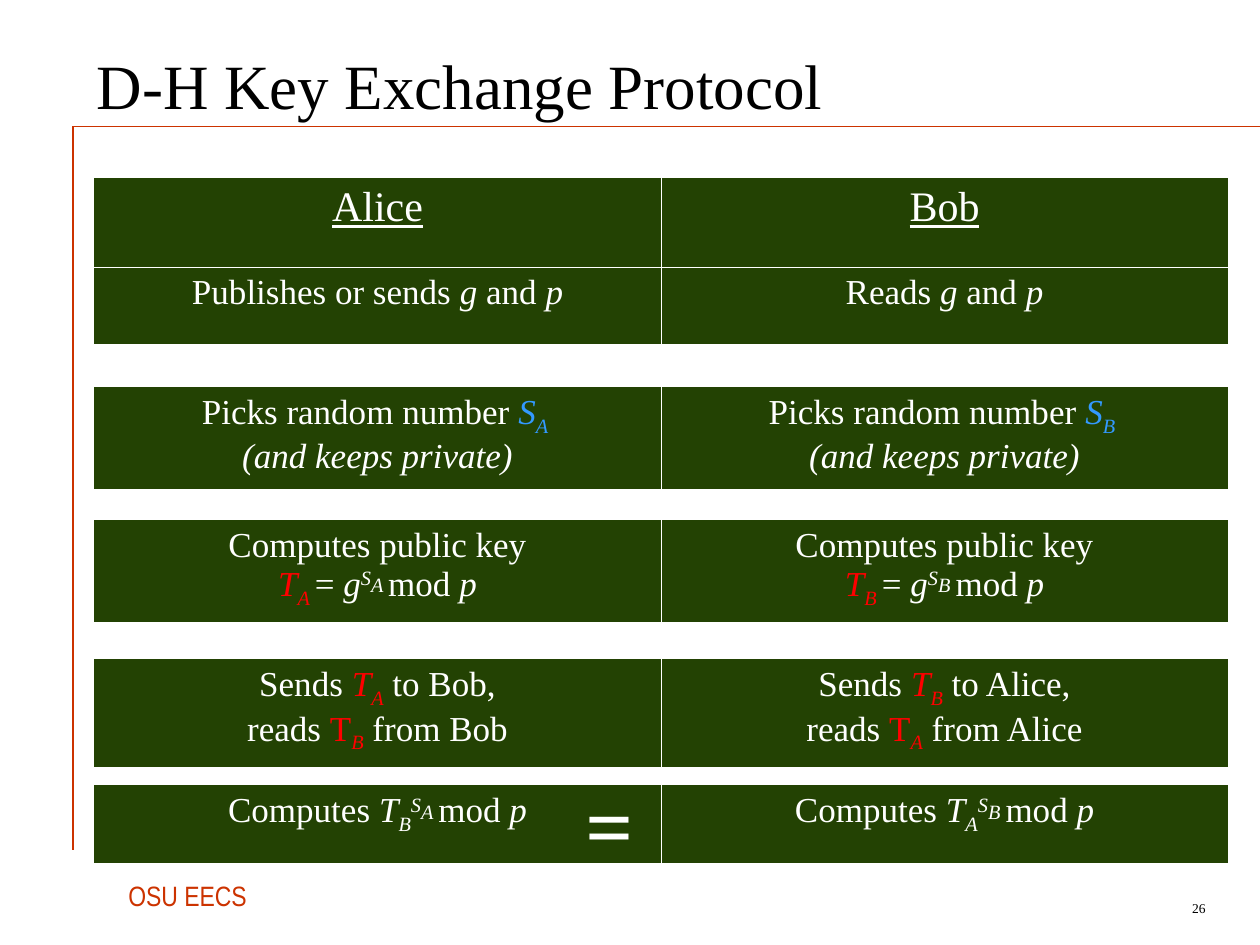
import pptx
import pptx.dml.color
import pptx.enum.shapes
import pptx.enum.text
import pptx.oxml.ns
import pptx.util
from lxml import etree

PX = 914400 / 126
COLOURS = {"white": "FFFFFF", "black": "000000", "green": "234203",
           "rust": "CC3300", "blue": "3399FF", "red": "FF0000"}
SERIF, NARROW = "Times New Roman", "Arial Narrow"
ALIGN = pptx.enum.text.PP_ALIGN
ANCHOR = pptx.enum.text.MSO_ANCHOR
TABLE_LEFT, COLUMN_WIDTH = 94, 567


def px(*values):
    return [pptx.util.Emu(round(value * PX)) for value in values]


def rgb(name):
    return pptx.dml.color.RGBColor.from_string(COLOURS[name])


def sub_element(parent, tag, **attributes):
    return etree.SubElement(parent, pptx.oxml.ns.qn(tag), attributes)


def format_font(font, colour, size, **values):
    font.size = pptx.util.Pt(size)
    font.color.rgb = rgb(colour)
    for name, value in values.items():
        setattr(font, name, value)


def fill_text(frame, text, colour, size, align=ALIGN.LEFT, **values):
    para = frame.paragraphs[0]
    para.alignment = align
    span = para.add_run()
    span.text = text
    format_font(span.font, colour, size, **values)


def add_text(page, place, text, colour, size, wrap=True, anchor=ANCHOR.TOP, **values):
    frame = page.shapes.add_textbox(*px(*place)).text_frame
    frame.word_wrap, frame.vertical_anchor = wrap, anchor
    fill_text(frame, text, colour, size, **values)


def add_line(page, ends, width):
    line = page.shapes.add_connector(pptx.enum.shapes.MSO_CONNECTOR.STRAIGHT, *px(*ends))
    line.line.color.rgb = rgb("rust")
    line.line.width = pptx.util.Pt(width)
    sub_element(line._element.spPr, "a:effectLst")


# Formula pieces: text, colour, italic, baseline shift in percent
def plain(text):
    return text, "white", False, 0


def variable(text, colour="white", shift=0):
    return text, colour, True, shift


def subscript(text, colour="white"):
    return variable(text, colour, -25)


def power(letter):
    return [variable("S", shift=30), variable(letter + " ", shift=10),
            plain("mod "), variable("p")]


def protocol_steps(opening, letter, peer, peer_letter):
    """The five lines of one party; each step is a list of text lines."""
    return [
        [[plain(opening), variable("g"), plain(" and "), variable("p")]],
        [[plain("Picks random number "), variable("S", "blue"),
          subscript(letter + " ", "blue")],
         [variable("(and keeps private)")]],
        [[plain("Computes public key")],
         [variable("T", "red"), subscript(letter + " ", "red"), plain("= "),
          variable("g"), *power(letter)]],
        [[plain("Sends "), variable("T", "red"), subscript(letter, "red"),
          plain(f" to {peer},")],
         [plain("reads "), ("T", "red", False, 0), subscript(peer_letter, "red"),
          plain(f" from {peer}")]],
        [[plain("Computes "), variable("T"), subscript(peer_letter), *power(letter)]],
    ]


def write_lines(cell, lines):
    para = cell.text_frame.paragraphs[0]
    para.alignment = ALIGN.CENTER
    for index, line in enumerate(lines):
        if index:
            para.add_line_break()
        for text, colour, italic, shift in line:
            span = para.add_run()
            span.text = text
            format_font(span.font, colour, 20, name=SERIF, italic=italic)
            if shift:
                span._r.get_or_add_rPr().set("baseline", str(shift * 1000))


def set_borders(cell, inner):
    """White hairlines on the inner edges, nothing on the outer ones."""
    properties = cell._tc.get_or_add_tcPr()
    for position, edge in enumerate("LRTB"):
        line = etree.Element(pptx.oxml.ns.qn("a:ln" + edge), w="5715")
        if edge in inner:
            fill = sub_element(line, "a:solidFill")
            sub_element(fill, "a:srgbClr", val=COLOURS["white"])
        else:
            sub_element(line, "a:noFill")
        properties.insert(position, line)


def add_step_table(page, top, heights):
    table = page.shapes.add_table(
        len(heights), 2, *px(TABLE_LEFT, top, 2 * COLUMN_WIDTH, sum(heights))).table
    table.first_row = table.horz_banding = False
    for column in table.columns:
        column.width = px(COLUMN_WIDTH)[0]
    for r, height in enumerate(heights):
        table.rows[r].height = px(height)[0]
        for c in range(2):
            cell = table.cell(r, c)
            cell.fill.solid()
            cell.fill.fore_color.rgb = rgb("green")
            inner = "RL"[c] + ("T" if r else "") + ("B" if r < len(heights) - 1 else "")
            set_borders(cell, inner)
    return table


def add_title(page, text):
    title = page.shapes.title
    title.left, title.top, title.width, title.height = px(84, 21, 1134, 126)
    frame = title.text_frame
    frame.word_wrap, frame.vertical_anchor = True, ANCHOR.MIDDLE
    frame.auto_size = pptx.enum.text.MSO_AUTO_SIZE.NONE
    fill_text(frame, text, "black", 36, name=SERIF)


def main():
    deck = pptx.Presentation()
    deck.slide_width, deck.slide_height = px(1260, 945)
    page = deck.slides.add_slide(deck.slide_layouts[5])

    # Frame lines, footer and title
    add_line(page, (73, 126, 1260, 126), 0.25)
    add_line(page, (73, 126, 73, 850), 0.75)
    add_text(page, (116, 872, 150, 47), "OSU EECS", "rust", 16, wrap=False, name=NARROW)
    add_text(page, (1113, 892, 105, 32), "26", "black", 7.7, anchor=ANCHOR.MIDDLE,
             align=ALIGN.RIGHT, name=SERIF)
    add_title(page, "D-H Key Exchange Protocol")

    # Protocol tables: the first one also carries the names
    parties = [("Alice", protocol_steps("Publishes or sends ", "A", "Bob", "B")),
               ("Bob", protocol_steps("Reads ", "B", "Alice", "A"))]
    layout = [(178, [89, 77]), (387, [102]), (520, [102]), (659, [108]), (785, [78])]
    for step, (top, heights) in enumerate(layout):
        table = add_step_table(page, top, heights)
        for column, (name, steps) in enumerate(parties):
            if step == 0:
                fill_text(table.cell(0, column).text_frame, name, "white", 24,
                          align=ALIGN.CENTER, name=SERIF, underline=True)
            write_lines(table.cell(len(heights) - 1, column), steps[step])

    # Both sides reach the same key
    add_text(page, (573, 766, 93, 113), "=", "white", 48, name=SERIF, bold=True)
    deck.save("out.pptx")


if __name__ == "__main__":
    main()
